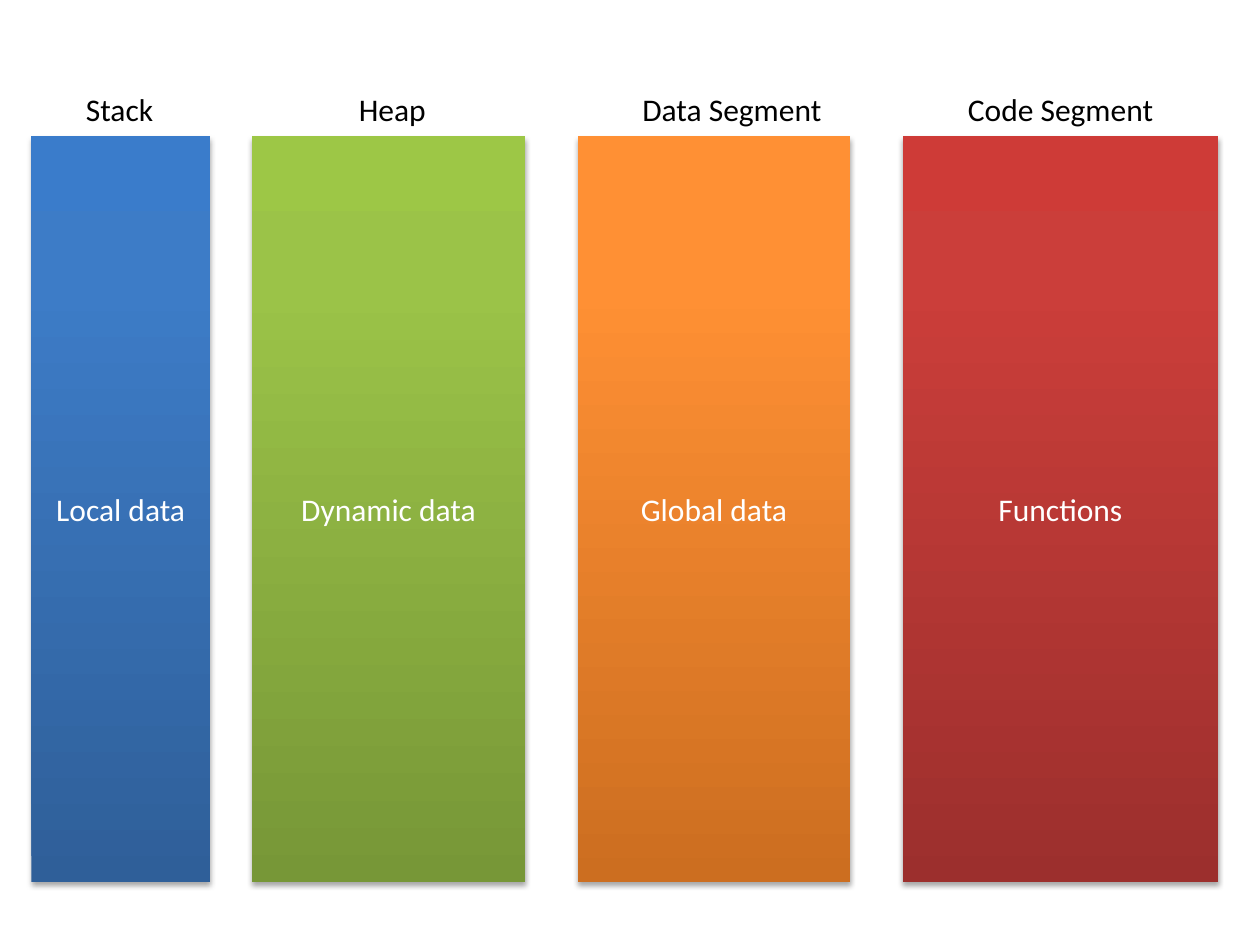
from dataclasses import dataclass

from pptx import Presentation
from pptx.dml.color import RGBColor
from pptx.enum.shapes import MSO_SHAPE as Preset
from pptx.enum.text import MSO_ANCHOR as Anchor, MSO_AUTO_SIZE as AutoSize, PP_ALIGN as Align
from pptx.oxml import parse_xml
from pptx.oxml.ns import nsdecls, qn
from pptx.shapes.autoshape import Shape
from pptx.shapes.shapetree import SlideShapes
from pptx.text.text import _Paragraph as Paragraph
from pptx.util import Inches, Pt


@dataclass(frozen=True)
class Theme:
    """Colours and type of the slide."""
    font: str = "Calibri"
    size: int = 18
    heading: str = "000000"
    content: str = "FFFFFF"
    shadow: str = "000000"


@dataclass(frozen=True)
class Segment:
    """A memory area; lengths are in grid columns."""
    heading: str
    content: str
    left: int
    width: int
    heading_left: int
    heading_width: float
    shades: tuple[str, str, str]


THEME = Theme()
UNIT = Inches(1) / 12  # the grid has 120 columns and 90 rows
HEADING_TOP, HEADING_HEIGHT = 8, 4.85
BAR_TOP, BAR_HEIGHT = 13, 71
SHADE_STOPS = (0, 80, 100)

SEGMENTS = (
    Segment("Code Segment", "Functions", 86, 30, 91, 20.3, ("9C2F2D", "CB3E3A", "CE3B37")),
    Segment("Data Segment", "Global data", 55, 26, 60, 19.7, ("CC6E20", "FF9034", "FF9136")),
    Segment("Heap", "Dynamic data", 24, 26, 33, 8.9, ("779737", "9BC348", "9DC746")),
    Segment("Stack", "Local data", 3, 17, 7, 8.9, ("2F5F99", "3D7CC7", "3A7CCB")),
)


def grid(*cells: float) -> list[int]:
    """Turn grid counts into slide lengths."""
    return [round(cell * UNIT) for cell in cells]


def write(paragraph: Paragraph, text: str, colour: str) -> None:
    """Fill a paragraph in the theme's type."""
    paragraph.text = text
    font = paragraph.font
    font.name, font.size = THEME.font, Pt(THEME.size)
    font.color.rgb = RGBColor.from_string(colour)


def shade(bar: Shape, shades: tuple[str, str, str]) -> None:
    """Give a bar its upward gradient and soft shadow, without an outline."""
    bar.line.fill.background()
    bar.shadow.inherit = False
    stops = "".join(
        f'<a:gs pos="{stop * 1000}"><a:srgbClr val="{colour}"/></a:gs>'
        for stop, colour in zip(SHADE_STOPS, shades)
    )
    properties = bar.fill._xPr
    properties.find(qn("a:ln")).addprevious(parse_xml(
        f'<a:gradFill {nsdecls("a")} rotWithShape="1"><a:gsLst>{stops}</a:gsLst>'
        '<a:lin ang="16200000" scaled="0"/></a:gradFill>'))
    properties.find(qn("a:effectLst")).append(parse_xml(
        f'<a:outerShdw {nsdecls("a")} blurRad="{Pt(3.1)}" dist="{Pt(1.8)}" dir="5400000" '
        f'rotWithShape="0"><a:srgbClr val="{THEME.shadow}"><a:alpha val="35000"/>'
        '</a:srgbClr></a:outerShdw>'))


def draw_segment(shapes: SlideShapes, segment: Segment) -> None:
    """Draw a memory area's bar and the heading above it."""
    bar = shapes.add_shape(
        Preset.RECTANGLE, *grid(segment.left, BAR_TOP, segment.width, BAR_HEIGHT))
    shade(bar, segment.shades)
    bar.text_frame.vertical_anchor = Anchor.MIDDLE
    content = bar.text_frame.paragraphs[0]
    content.alignment = Align.CENTER
    write(content, segment.content, THEME.content)

    heading = shapes.add_textbox(*grid(
        segment.heading_left, HEADING_TOP, segment.heading_width, HEADING_HEIGHT)).text_frame
    heading.word_wrap = False
    heading.auto_size = AutoSize.SHAPE_TO_FIT_TEXT
    write(heading.paragraphs[0], segment.heading, THEME.heading)


def main() -> None:
    """Build and save the slide."""
    deck = Presentation()
    deck.slide_width, deck.slide_height = grid(120, 90)
    slide = deck.slides.add_slide(deck.slide_layouts[6])
    for segment in SEGMENTS:
        draw_segment(slide.shapes, segment)
    deck.save("out.pptx")


main()
